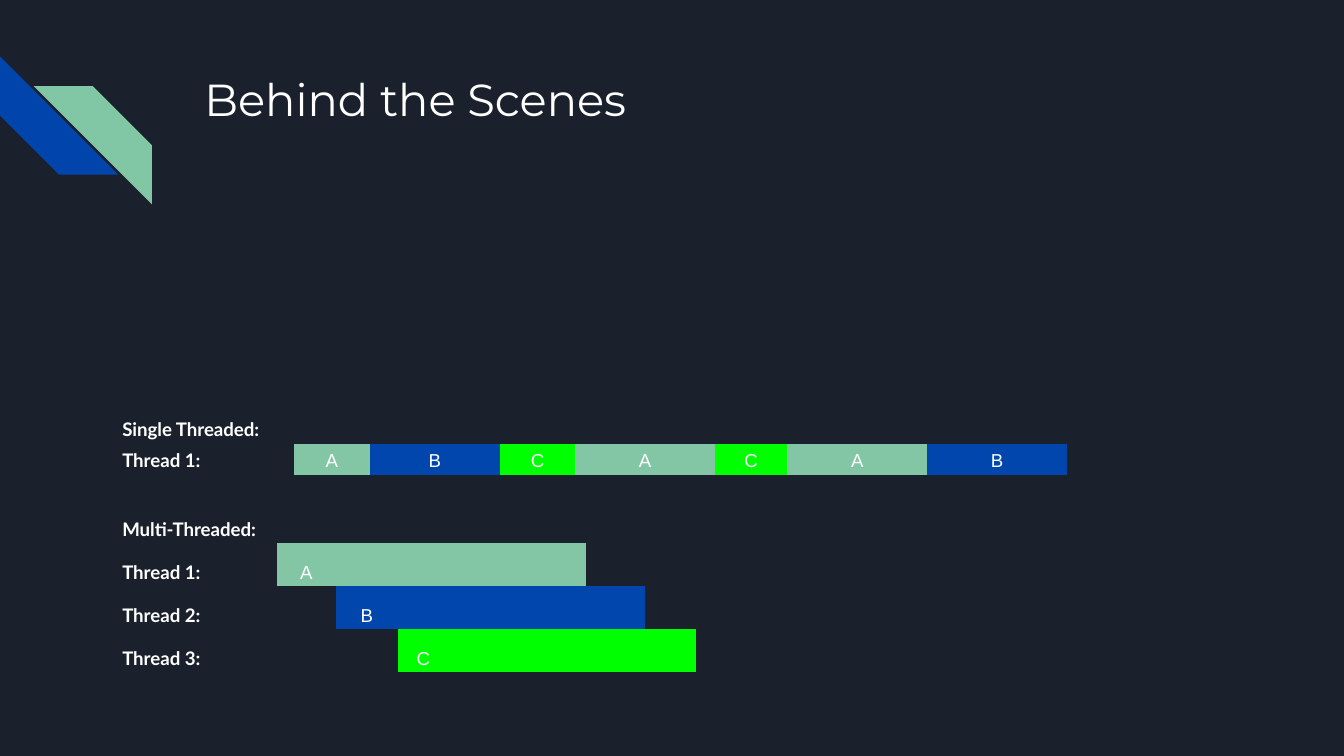
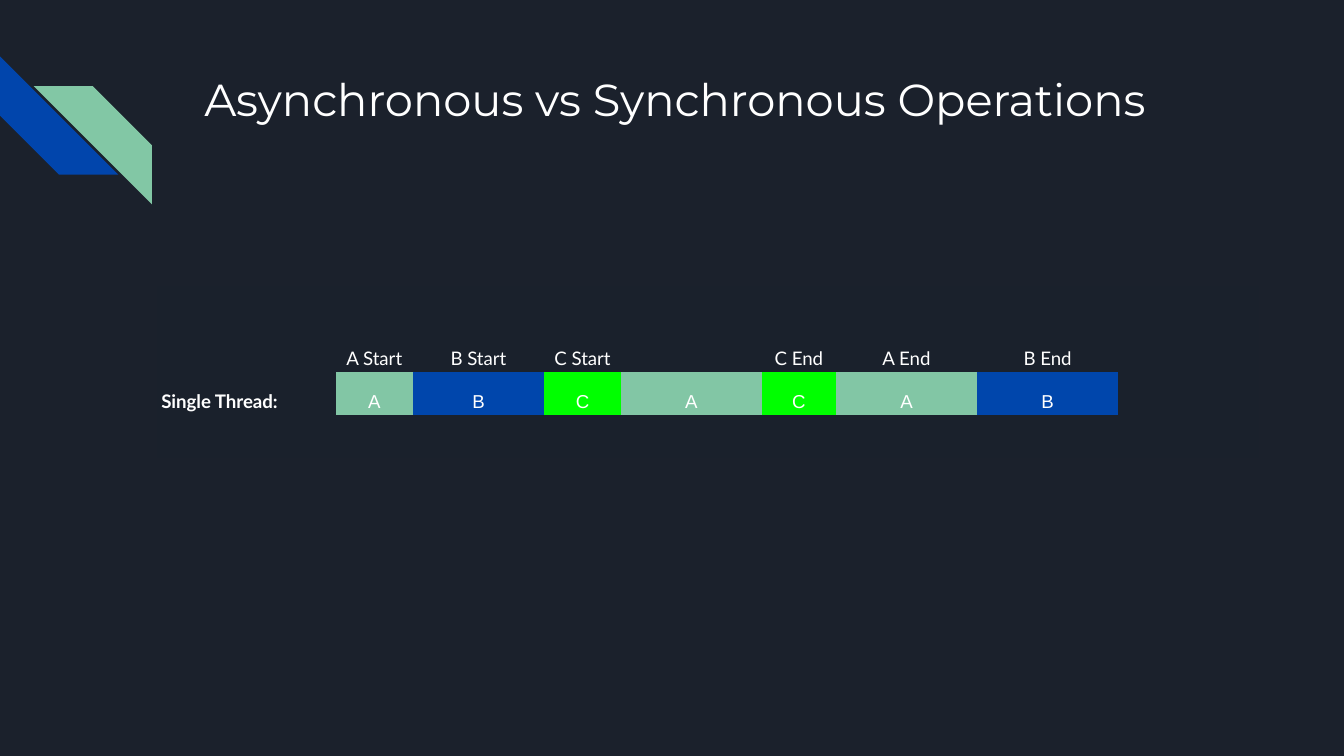
from lxml import etree
from pptx import Presentation
from pptx.dml.color import RGBColor
from pptx.enum.shapes import MSO_SHAPE as Shape
from pptx.enum.text import MSO_ANCHOR as Anchor, MSO_AUTO_SIZE as Fit, PP_ALIGN as Align
from pptx.oxml.ns import qn
from pptx.util import Inches, Pt

BACK, CELL, WHITE = "1B212C", "1A212C", "FFFFFF"
BLUE, GREEN = "0145AC", "82C7A5"
TASKS = {"A": "82C6A5", "B": "0046AC", "C": "00FF00"}
PLAIN = "{2D5ABB26-0587-4C30-8999-92F81FD0307C}"  # table style without grid

# Each row is a label and one mark per time slot; a run of equal marks is one bar.
SLIDES = [
    {"title": "Behind the Scenes",
     "tables": [
         {"at": (0.88, 3.72),
          "cols": [1.18, 0.44, 0.46, 0.38, 1.02, 0.44, 0.38],
          "heights": [0.32] * 4,
          "rows": [("Multi-Threaded:", "      "),
                   ("Thread 1:", "AAAA  "),
                   ("Thread 2:", " BBBB "),
                   ("Thread 3:", "  CCCC")]},
         {"at": (0.88, 2.97),
          "cols": [1.31, 0.56, 0.97, 0.56, 1.04, 0.54, 1.04, 1.04],
          "heights": [0.33, 0.23],
          "rows": [("Single Threaded:", "       "),
                   ("Thread 1:", "ABCACAB")]}]},
    {"title": "Asynchronous vs Synchronous Operations",
     "tables": [
         {"at": (1.17, 2.13),
          "cols": [1.33, 0.57, 0.98, 0.57, 1.05, 0.55, 1.05, 1.05, 1.05],
          "heights": [0.32] * 4,
          "rows": [("", "        "),
                   ("", ["A Start", "B Start", "C Start", "",
                         "C End", "A End", "B End", ""]),
                   ("Single Thread:", "ABCACAB "),
                   ("", "        ")]}]},
]


def paint(fill, color):
    fill.solid()
    fill.fore_color.rgb = RGBColor.from_string(color)


def style(para, font, size, bold=False):
    for run in para.runs:
        run.font.name = font
        run.font.size = Pt(size)
        run.font.bold = bold
        run.font.color.rgb = RGBColor.from_string(WHITE)


def add_stripe(slide, left, top, color):
    side = Inches(0.88)
    stripe = slide.shapes.add_shape(
        Shape.DIAGONAL_STRIPE, Inches(left), Inches(top), side, side)
    stripe.adjustments[0] = 0.5
    stripe.shadow.inherit = False
    stripe.line.fill.background()
    paint(stripe.fill, color)
    return stripe


def dress(layout, slide):
    """Give the layout its background and corner stripes, drawn first on a slide."""
    paint(layout.background.fill, BACK)
    low = add_stripe(slide, 0, 0.42, BLUE)
    low.rotation = 270
    high = add_stripe(slide, 0.25, 0.64, GREEN)
    high._element.spPr.xfrm.set("flipH", "1")
    for stripe in (low, high):
        layout.shapes._spTree.append(stripe._element)


def set_title(slide, text):
    title = slide.shapes.title
    title.left, title.top = Inches(1.42), Inches(0.43)
    title.width, title.height = Inches(7.7), Inches(1)
    frame = title.text_frame
    frame.text = text
    frame.auto_size = Fit.NONE
    frame.word_wrap = True
    frame.vertical_anchor = Anchor.TOP
    frame.margin_left = frame.margin_right = Inches(0.1)
    frame.margin_top = frame.margin_bottom = Inches(0.1)
    frame.paragraphs[0].alignment = Align.LEFT
    style(frame.paragraphs[0], "Montserrat", 24)


def fill_cell(cell, text, color, label):
    paint(cell.fill, color)
    cell.vertical_anchor = Anchor.BOTTOM
    cell.margin_left = cell.margin_right = Inches(0.03)
    cell.margin_top = cell.margin_bottom = Inches(0.02)
    cell.text_frame.text = text
    para = cell.text_frame.paragraphs[0]
    para.line_spacing = 1.15
    para.alignment = Align.LEFT if label else Align.CENTER
    style(para, "Arial" if text in TASKS else "Lato", 10, label)
    if not text:  # keeps an empty cell from stretching its row
        etree.SubElement(para._p, qn("a:endParaRPr"), sz="1000")


def add_grid(slide, at, cols, heights, rows):
    left, top = at
    frame = slide.shapes.add_table(
        len(rows), len(cols), Inches(left), Inches(top),
        Inches(sum(cols)), Inches(sum(heights)))
    table = frame.table
    table.first_row = table.horz_banding = False
    table._tbl.tblPr.find(qn("a:tableStyleId")).text = PLAIN
    for col, width in zip(table.columns, cols):
        col.width = Inches(width)
    for row, height, (label, marks) in zip(table.rows, heights, rows):
        row.height = Inches(height)
        fill_cell(row.cells[0], label, CELL, True)
        last = ""
        for i, mark in enumerate(marks, 1):
            text = "" if mark == last else mark.strip()
            fill_cell(row.cells[i], text, TASKS.get(mark, CELL), False)
            last = mark


def main():
    deck = Presentation()
    deck.slide_width = Inches(10)
    deck.slide_height = Inches(10) * 9 // 16
    layout = deck.slide_layouts[5]
    for i, page in enumerate(SLIDES):
        slide = deck.slides.add_slide(layout)
        if i == 0:
            dress(layout, slide)
        set_title(slide, page["title"])
        for grid in page["tables"]:
            add_grid(slide, **grid)
    deck.save("out.pptx")


if __name__ == "__main__":
    main()
